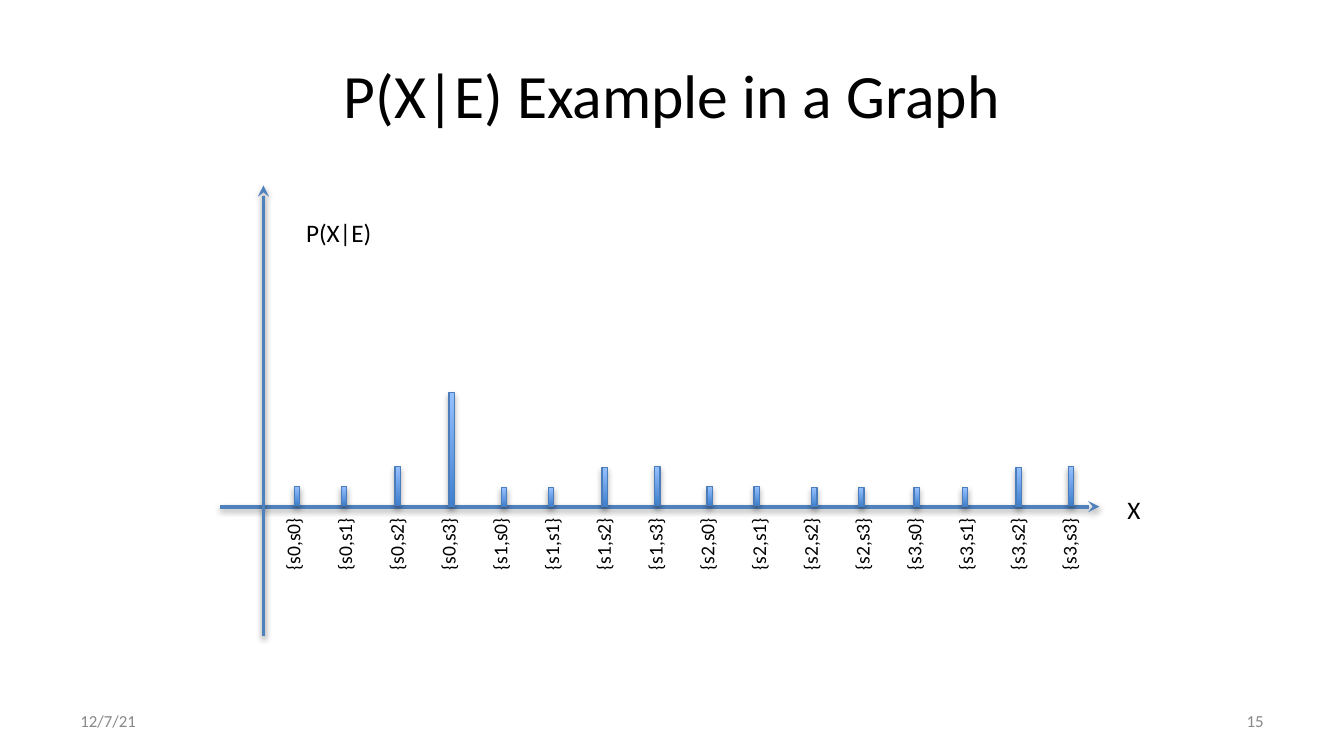
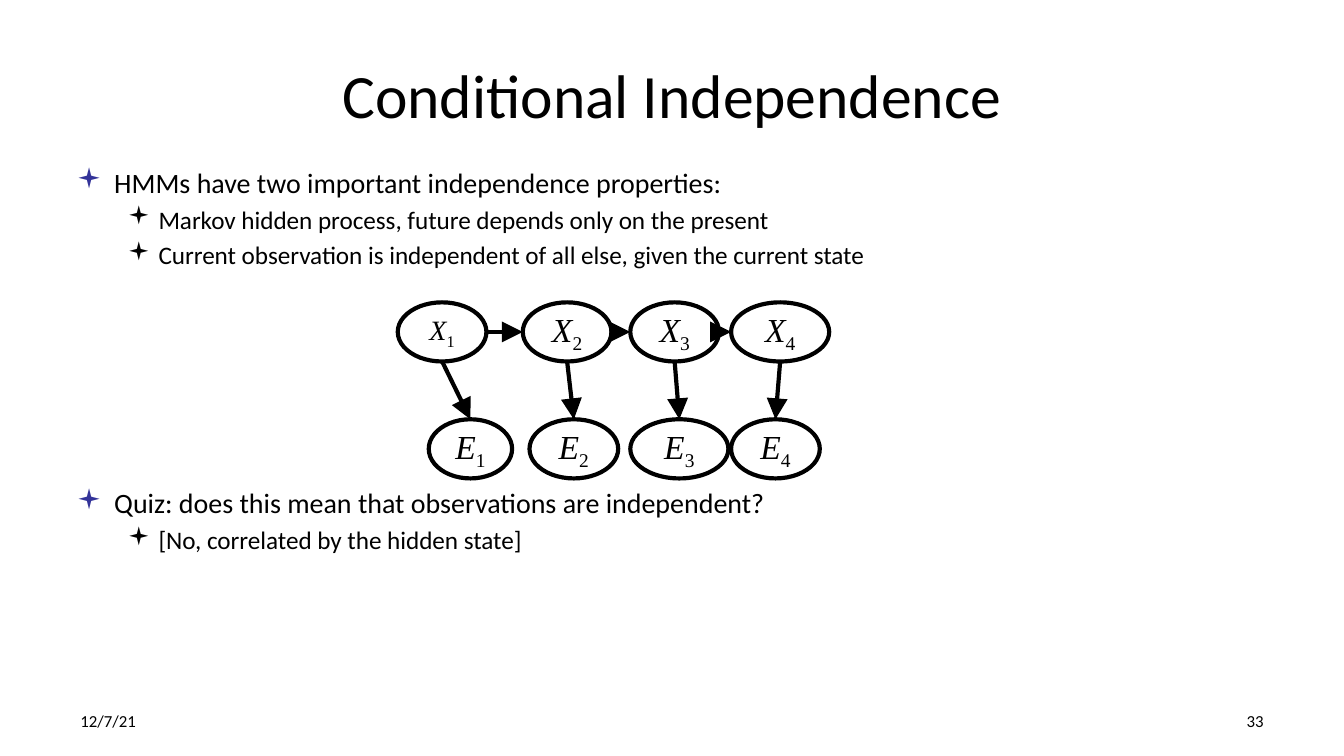
from itertools import pairwise, product

from lxml.etree import SubElement
from pptx import Presentation
from pptx.dml.color import RGBColor
from pptx.enum.shapes import MSO_CONNECTOR, MSO_SHAPE
from pptx.enum.text import MSO_ANCHOR, PP_ALIGN
from pptx.oxml.ns import qn
from pptx.util import Emu, Inches, Pt

SLIDE_WIDTH = Inches(10)
SLIDE_HEIGHT = Emu(SLIDE_WIDTH * 9 // 16)

BLACK = RGBColor(0x00, 0x00, 0x00)
WHITE = RGBColor(0xFF, 0xFF, 0xFF)
GRAY = RGBColor(0x88, 0x88, 0x88)
AXIS_BLUE = RGBColor(0x4F, 0x81, 0xBD)
BAR_EDGE = RGBColor(0x4A, 0x7D, 0xBA)
BAR_BOTTOM = RGBColor(0x3E, 0x7F, 0xCD)
BAR_TOP = RGBColor(0x96, 0xC0, 0xFF)
BULLET_BLUE = RGBColor(0x33, 0x33, 0x99)

# Bullet levels: font size, left margin, hanging indent and bullet colour
LEVELS = [
    {"size": 15, "margin": 0.28, "hang": 0.28, "color": BULLET_BLUE},
    {"size": 13.5, "margin": 0.61, "hang": 0.23, "color": BLACK},
]
DIAGRAM_GAP = 116  # points left between the bullets for the node diagram

# Left edge, bottom edge and height of each probability bar
BARS = [
    (2.19, 3.76, 0.14), (2.54, 3.76, 0.14), (2.94, 3.76, 0.29), (3.34, 3.77, 0.85),
    (3.73, 3.77, 0.14), (4.08, 3.77, 0.14), (4.48, 3.77, 0.29), (4.87, 3.76, 0.29),
    (5.26, 3.76, 0.14), (5.61, 3.76, 0.14), (6.04, 3.77, 0.14), (6.39, 3.77, 0.14),
    (6.80, 3.77, 0.14), (7.16, 3.77, 0.14), (7.56, 3.77, 0.29), (7.95, 3.76, 0.29),
]
BAR_WIDTH = 0.04
LABEL_STEP = 0.385

# Left edge and width of each node
STATES = [(2.96, 0.66), (3.89, 0.66), (4.69, 0.66), (5.44, 0.73)]
OBSERVATIONS = [(3.19, 0.62), (3.94, 0.66), (4.69, 0.73), (5.44, 0.66)]
STATE_TOP, OBSERVATION_TOP, NODE_HEIGHT = 2.25, 3.12, 0.44


def set_attributes(target, values):
    for name, value in values.items():
        setattr(target, name, value)


class Deck:
    def __init__(self):
        self.presentation = Presentation()
        set_attributes(self.presentation,
                       {"slide_width": SLIDE_WIDTH, "slide_height": SLIDE_HEIGHT})
        self.slide = None

    def add_slide(self, title, number, footer_color):
        layout = self.presentation.slide_layouts[6]
        self.slide = self.presentation.slides.add_slide(layout)
        middle = MSO_ANCHOR.MIDDLE
        self.text(title, (0.5, 0.23, 9, 0.94), 33, align=PP_ALIGN.CENTER, anchor=middle)
        self.text("12/7/21", (0.5, 5.21, 2.33, 0.3), 9, footer_color, anchor=middle)
        self.text(number, (7.17, 5.21, 2.33, 0.3), 9, footer_color,
                  align=PP_ALIGN.RIGHT, anchor=middle)

    def run(self, paragraph, text, size, color=BLACK, name="Calibri", italic=False):
        run = paragraph.add_run()
        run.text = text
        set_attributes(run.font, {"name": name, "size": Pt(size), "italic": italic})
        run.font.color.rgb = color
        return run

    def frame(self, box, margins=(0.1, 0.05), wrap=True, anchor=MSO_ANCHOR.TOP):
        side, end = (Inches(margin) for margin in margins)
        set_attributes(box.text_frame, {
            "margin_left": side, "margin_right": side,
            "margin_top": end, "margin_bottom": end,
            "word_wrap": wrap, "vertical_anchor": anchor})
        return box.text_frame

    def text(self, text, place, size, color=BLACK, align=PP_ALIGN.LEFT,
             anchor=MSO_ANCHOR.TOP, wrap=True, rotation=0):
        box = self.slide.shapes.add_textbox(*map(Inches, place))
        box.rotation = rotation
        paragraph = self.frame(box, wrap=wrap, anchor=anchor).paragraphs[0]
        paragraph.alignment = align
        self.run(paragraph, text, size, color)

    def bullets(self, place, items):
        """Add a bulleted list from (level, space before, text) triples."""
        box = self.slide.shapes.add_textbox(*map(Inches, place))
        frame = self.frame(box, margins=(0.07, 0.04))
        for index, (level, space, text) in enumerate(items):
            paragraph = frame.add_paragraph() if index else frame.paragraphs[0]
            style = LEVELS[level]
            set_attributes(paragraph, {"level": level, "space_before": Pt(space)})
            properties = paragraph._p.get_or_add_pPr()
            properties.set("marL", str(Inches(style["margin"])))
            properties.set("indent", str(-Inches(style["hang"])))
            bullet_color = SubElement(properties, qn("a:buClr"))
            SubElement(bullet_color, qn("a:srgbClr"), val=str(style["color"]))
            SubElement(properties, qn("a:buFont"), typeface="Wingdings")
            SubElement(properties, qn("a:buChar"), char="▪")
            self.run(paragraph, text, style["size"])

    def shadow(self, effects, distance, opacity):
        """Fill an effect list with a soft shadow that falls straight down."""
        shadow = SubElement(effects, qn("a:outerShdw"), blurRad=str(Pt(3.1)),
                            dist=str(Pt(distance)), dir="5400000", rotWithShape="0")
        color = SubElement(shadow, qn("a:srgbClr"), val=str(BLACK))
        SubElement(color, qn("a:alpha"), val=str(opacity * 1000))

    def arrow(self, begin, end, color=BLACK, width=2.25, head="triangle", head_size="lg"):
        """Join two points given as lengths; return the connector and its effect list."""
        connector = self.slide.shapes.add_connector(MSO_CONNECTOR.STRAIGHT, *begin, *end)
        connector.line.color.rgb = color
        connector.line.width = Pt(width)
        properties = connector._element.spPr
        SubElement(properties.find(qn("a:ln")), qn("a:tailEnd"),
                   type=head, w=head_size, len=head_size)
        return connector, SubElement(properties, qn("a:effectLst"))

    def axis(self, begin, end):
        _, effects = self.arrow(map(Inches, begin), map(Inches, end),
                                AXIS_BLUE, 2, "stealth", "med")
        self.shadow(effects, 1.6, 38)

    def shape(self, kind, place, line_color, line_width):
        shape = self.slide.shapes.add_shape(kind, *map(Inches, place))
        shape.line.color.rgb = line_color
        shape.line.width = Pt(line_width)
        shape.shadow.inherit = False
        return shape

    def bar(self, left, bottom, height):
        bar = self.shape(MSO_SHAPE.RECTANGLE, (left, bottom - height, BAR_WIDTH, height),
                         BAR_EDGE, 0.75)
        bar.fill.gradient()
        bar.fill.gradient_angle = 90
        for stop, color in zip(bar.fill.gradient_stops, (BAR_BOTTOM, BAR_TOP)):
            stop.color.rgb = color
        self.shadow(bar._element.spPr.find(qn("a:effectLst")), 1.8, 35)

    def node(self, letter, index, place, size):
        """Add an ellipse that holds a letter with a subscript."""
        node = self.shape(MSO_SHAPE.OVAL, place, BLACK, 2.25)
        node.fill.solid()
        node.fill.fore_color.rgb = WHITE
        frame = self.frame(node, wrap=False, anchor=MSO_ANCHOR.MIDDLE)
        paragraph = frame.paragraphs[0]
        paragraph.alignment = PP_ALIGN.CENTER
        self.run(paragraph, letter, size, name="Times New Roman", italic=True)
        subscript = self.run(paragraph, str(index), size, name="Times New Roman")
        subscript.font._element.set("baseline", "-25000")
        return node


def add_graph_slide(deck):
    deck.add_slide("P(X|E) Example in a Graph", "15", GRAY)
    deck.axis((1.64, 3.77), (8.18, 3.77))
    deck.axis((1.96, 4.73), (1.96, 1.38))
    deck.text("P(X|E)", (2.18, 1.57, 0.69, 0.33), 13.5, wrap=False)
    deck.text("X", (8.29, 3.63, 0.3, 0.33), 13.5, wrap=False)
    for index, (first, second) in enumerate(product(range(4), repeat=2)):
        deck.text(f"{{s{first},s{second}}}", (1.88 + index * LABEL_STEP, 3.9, 0.6, 0.28),
                  10.5, wrap=False, rotation=270)
    for bar in BARS:
        deck.bar(*bar)


def add_independence_slide(deck):
    deck.add_slide("Conditional Independence", "33", BLACK)
    deck.bullets((0.5, 1.19, 7.88, 3.84), [
        (0, 0, "HMMs have two important independence properties:"),
        (1, 2.7, "Markov hidden process, future depends only on the present"),
        (1, 2.7, "Current observation is independent of all else, given the current state"),
        (0, DIAGRAM_GAP, "Quiz: does this mean that observations are independent?"),
        (1, 2.7, "[No, correlated by the hidden state]"),
    ])
    states = [
        deck.node("X", index, (left, STATE_TOP, width, NODE_HEIGHT), 15 if index == 1 else 18)
        for index, (left, width) in enumerate(STATES, 1)]
    observations = [
        deck.node("E", index, (left, OBSERVATION_TOP, width, NODE_HEIGHT), 18)
        for index, (left, width) in enumerate(OBSERVATIONS, 1)]
    for state, following in pairwise(states):
        middle = Emu(state.top + state.height // 2)
        deck.arrow((state.left + state.width, middle), (following.left, middle))
    for state, observation in zip(states, observations):
        bottom = (state.left + state.width // 2, state.top + state.height)
        top = (observation.left + observation.width // 2, observation.top)
        connector, _ = deck.arrow(bottom, top)
        connector.end_connect(observation, 0)


def main():
    deck = Deck()
    add_graph_slide(deck)
    add_independence_slide(deck)
    deck.presentation.save("out.pptx")


if __name__ == "__main__":
    main()
